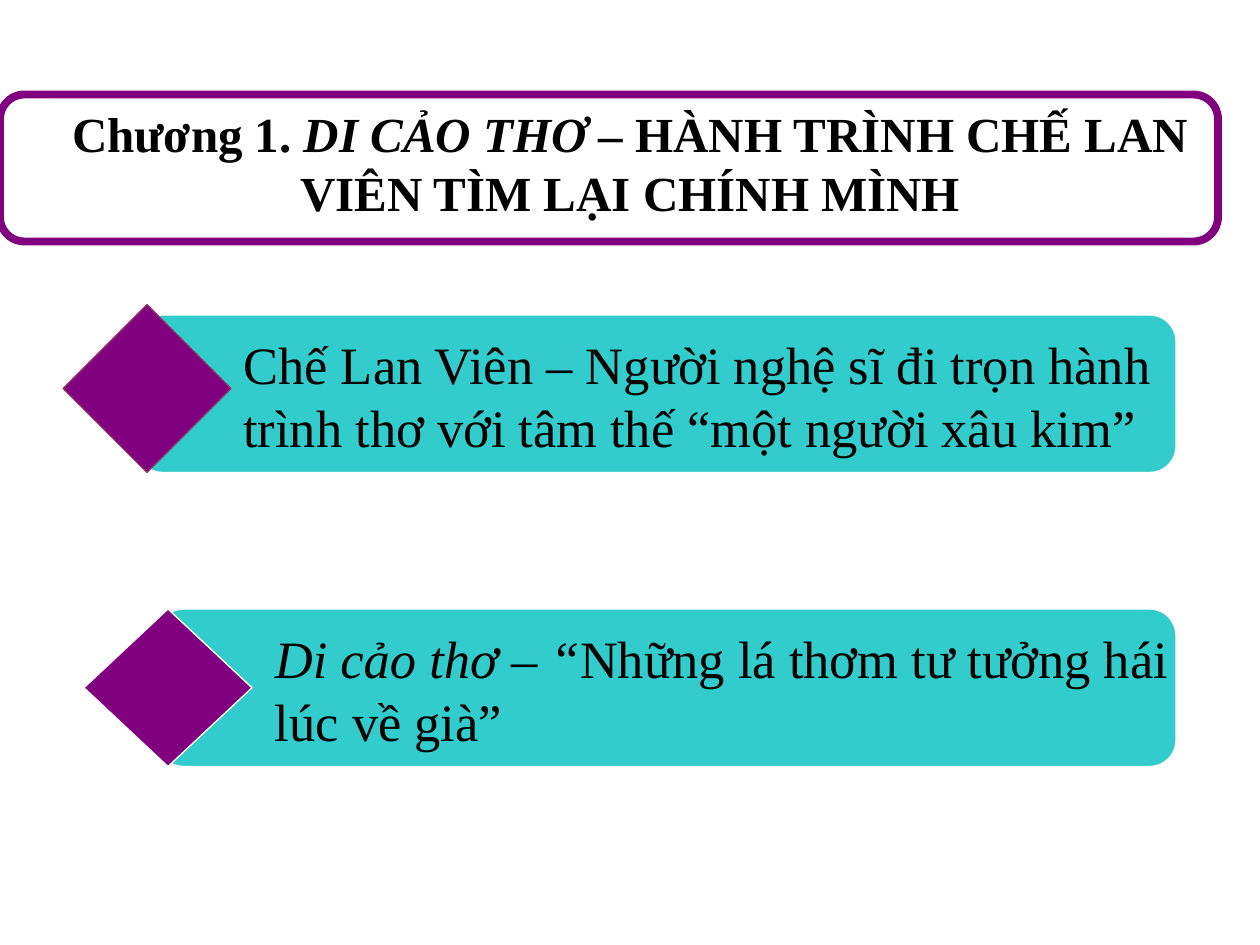
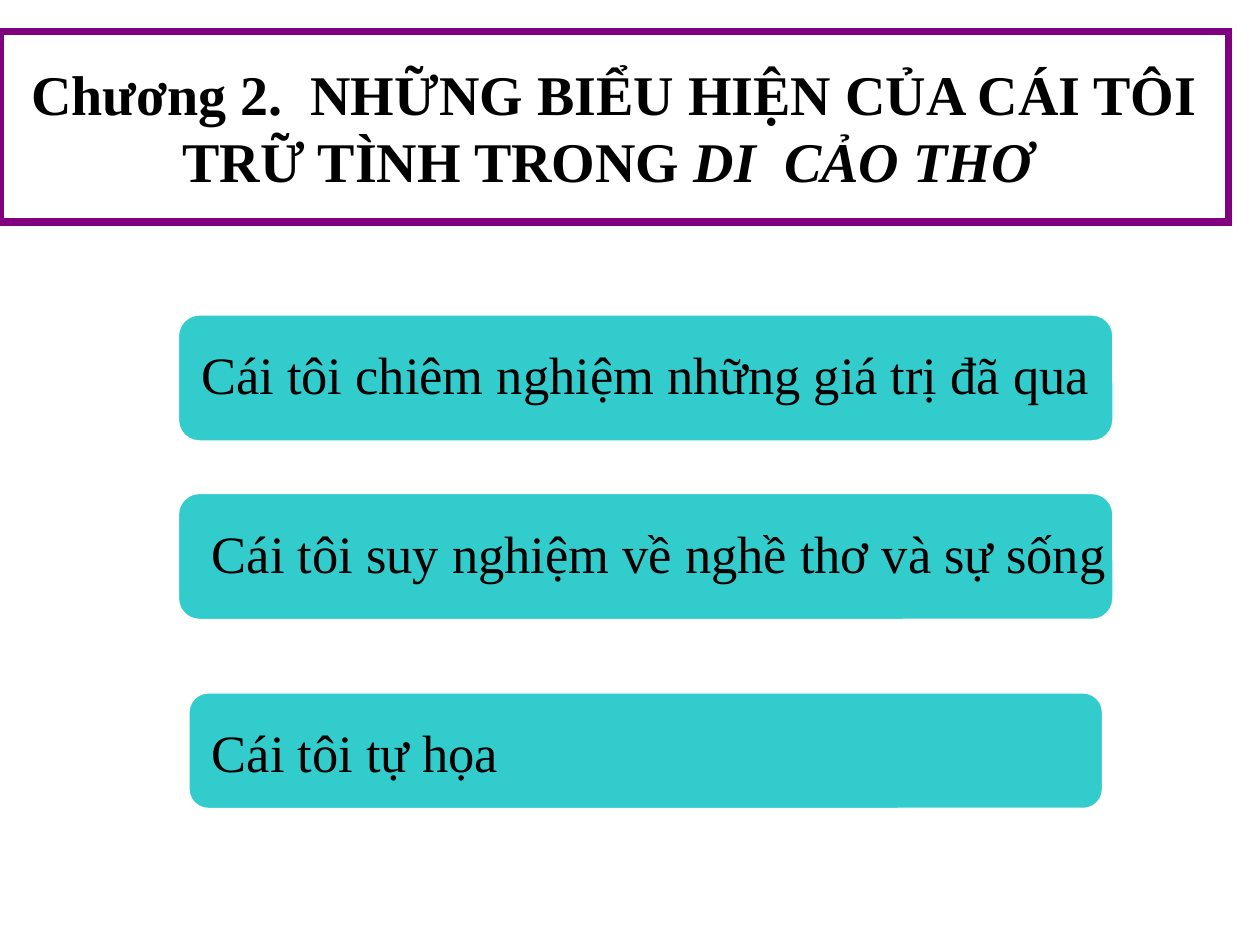
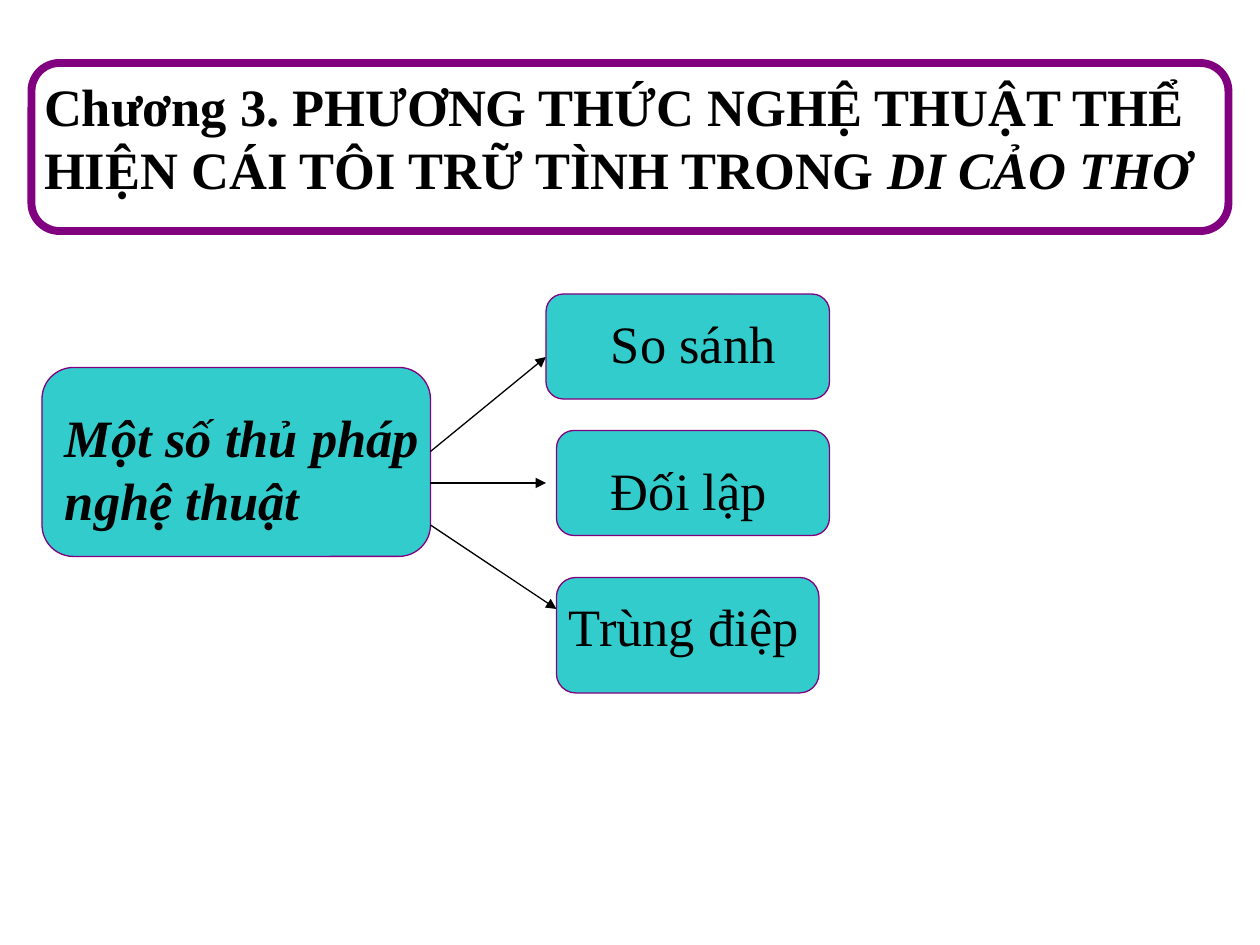
from lxml import etree
from pptx import Presentation
from pptx.dml.color import RGBColor
from pptx.enum.shapes import MSO_CONNECTOR, MSO_SHAPE
from pptx.enum.text import MSO_ANCHOR, MSO_AUTO_SIZE, PP_ALIGN
from pptx.oxml.ns import qn
from pptx.util import Pt

ROUNDED = MSO_SHAPE.ROUNDED_RECTANGLE
DIAMOND = MSO_SHAPE.DIAMOND
STRAIGHT = MSO_CONNECTOR.STRAIGHT
MIDDLE = MSO_ANCHOR.MIDDLE
TOP = MSO_ANCHOR.TOP
NO_FIT = MSO_AUTO_SIZE.NONE
GROW = MSO_AUTO_SIZE.SHAPE_TO_FIT_TEXT
LEFT = PP_ALIGN.LEFT
CENTER = PP_ALIGN.CENTER

FONT = "Times New Roman"
BLACK, WHITE = "000000", "FFFFFF"
PURPLE, PLUM, TEAL = "800080", "993366", "33CCCC"
THIN, THICK = 0.75, 4.5
BODY_SIZE = 30
ONE_LINE, TWO_LINES = 43, 79
TITLE_ONLY = 5

TONES = (
    (0x300, "ÀÌàìềờ", "AIaiêơ"),
    (0x301, "ÁÍẾáúếốớ", "AIÊauêôơ"),
    (0x303, "Ữữĩã", "Ưưia"),
    (0x309, "ẢỂỦảở", "AÊUaơ"),
    (0x323, "ẠỆệọộịự", "AÊêoôiư"),
)
TONE_TABLE = {ord(letter): base + chr(mark)
              for mark, letters, bases in TONES
              for letter, base in zip(letters, bases)}


def split_tones(runs):
    """Store each tone mark as a combining character after its vowel."""
    return [(text.translate(TONE_TABLE), italic) for text, italic in runs]


def color(value):
    """Turn a hex string into a colour."""
    return RGBColor.from_string(value)


def points(values):
    """Turn numbers into lengths in points."""
    return [Pt(value) for value in values]


def set_values(target, values):
    """Set attributes of an object from a dict."""
    for name, value in values.items():
        setattr(target, name, value)


def outline(shape, line_color, width):
    """Give a shape or connector a solid line."""
    shape.line.color.rgb = color(line_color)
    shape.line.width = Pt(width)


def write(frame, runs, size, align=LEFT, bold=False):
    """Write (text, italic) runs as the one paragraph of a frame."""
    paragraph = frame.paragraphs[0]
    set_values(paragraph, {"alignment": align, "space_before": Pt(0)})
    for text, italic in runs:
        run = paragraph.add_run()
        run.text = text
        set_values(run.font, {"name": FONT, "size": Pt(size),
                              "bold": bold, "italic": italic})
        run.font.color.rgb = color(BLACK)


def add_title(presentation, box, runs, size, align=CENTER):
    """Add a slide and fill its title placeholder."""
    slide = presentation.slides.add_slide(presentation.slide_layouts[TITLE_ONLY])
    title = slide.shapes.title
    set_values(title, dict(zip(("left", "top", "width", "height"), points(box))))
    set_values(title.text_frame, {"word_wrap": True, "auto_size": NO_FIT,
                                  "vertical_anchor": MIDDLE})
    write(title.text_frame, runs, size, align, bold=True)
    return slide


def add_block(slide, kind, box, fill, line_color, width=THIN):
    """Add a preset shape, hollow when fill is None."""
    shape = slide.shapes.add_shape(kind, *points(box))
    shape.shadow.inherit = False
    if fill:
        shape.fill.solid()
        shape.fill.fore_color.rgb = color(fill)
    else:
        shape.fill.background()
    outline(shape, line_color, width)


def add_frame(slide, box):
    """Draw the thick rounded frame around a title."""
    add_block(slide, ROUNDED, box, None, PURPLE, THICK)


def add_bar(slide, box, label, runs, line_color=WHITE, bold=False):
    """Add a teal bar with a label box placed relative to it."""
    add_block(slide, ROUNDED, box, TEAL, line_color)
    left, top, width, height = label
    label_box = (box[0] + left, box[1] + top, width, height)
    frame = slide.shapes.add_textbox(*points(label_box)).text_frame
    set_values(frame, {"word_wrap": True, "auto_size": GROW, "vertical_anchor": TOP})
    write(frame, runs, BODY_SIZE, bold=bold)


def add_arrow(slide, start, end):
    """Draw a thin black arrow."""
    connector = slide.shapes.add_connector(STRAIGHT, *points(start + end))
    outline(connector, BLACK, THIN)
    properties = connector.line._get_or_add_ln()
    etree.SubElement(properties, qn("a:tailEnd"), type="triangle")
    etree.SubElement(connector._element.spPr, qn("a:effectLst"))


def add_methods(slide, left, top):
    """Draw the method box with arrows to its three branches."""
    add_bar(slide, (left, top + 42, 222, 108), (6, 18, 222, TWO_LINES),
            [("Một số thủ pháp nghệ thuật", True)], PURPLE, bold=True)
    for start_y, end_x, end_y in ((90, 288, 36), (108, 288, 108), (132, 294, 180)):
        add_arrow(slide, (left + 222, top + start_y), (left + end_x, top + end_y))
    branches = (
        ("So sánh", (288, 0, 162, 60), (30, 6, 120)),
        ("Đối lập", (294, 78, 156, 60), (24, 12, 120)),
        ("Trùng điệp", (294, 162, 150, 66), (0, 6, 174)),
    )
    for text, (x, y, width, height), label in branches:
        add_bar(slide, (left + x, top + y, width, height), label + (ONE_LINE,),
                [(text, False)], PURPLE)


def chapter_one(presentation):
    """Build the slide with two diamond-marked bars."""
    slide = add_title(presentation, (0, 54, 720, 78), split_tones([
        ("Chương 1. ", False), ("DI CẢO THƠ", True),
        (" – HÀNH TRÌNH CHẾ LAN VIÊN TÌM LẠI CHÍNH MÌNH", False)]), 28)
    items = (
        ((78, 180, 594, 90), (54, 6, 558, TWO_LINES), (36, 174, 96, 96), PLUM,
         [("Chế Lan Viên – Người nghệ sĩ đi trọn hành trình thơ "
           "với tâm thế “một người xâu kim”", False)]),
        ((90, 348, 582, 90), (60, 6, 552, TWO_LINES), (48, 348, 96, 90), WHITE,
         [("Di cảo thơ – “", True),
          ("Những lá thơm tư tưởng hái lúc về già”", False)]),
    )
    for bar, label, diamond, diamond_line, runs in items:
        add_bar(slide, bar, label, split_tones(runs))
        add_block(slide, DIAMOND, diamond, PURPLE, diamond_line)
    add_frame(slide, (0, 54, 696, 84))


def chapter_two(presentation):
    """Build the slide with three bars."""
    slide = add_title(presentation, (0, 18, 702, 109), split_tones([
        ("Chương 2.  NHỮNG BIỂU HIỆN CỦA CÁI TÔI TRỮ TÌNH TRONG ", False),
        ("DI  CẢO THƠ ", True)]), 32)
    title = slide.shapes.title
    outline(title, PURPLE, THICK)
    etree.SubElement(title.line._get_or_add_ln(), qn("a:miter"), lim="800000")
    items = (
        ("Cái tôi chiêm nghiệm những giá trị đã qua", (102, 180, 534, 72), 6, 534),
        ("Cái tôi suy nghiệm về nghề thơ và sự sống", (102, 282, 534, 72), 12, 528),
        ("Cái tôi tự họa", (108, 396, 522, 66), 6, 432),
    )
    for text, bar, indent, width in items:
        add_bar(slide, bar, (indent, 12, width, ONE_LINE),
                split_tones([(text, False)]))


def chapter_three(presentation):
    """Build the slide with the branching diagram."""
    slide = add_title(presentation, (18, 24, 684, 109), [
        ("Chương 3. PHƯƠNG THỨC NGHỆ THUẬT THỂ HIỆN CÁI TÔI TRỮ TÌNH TRONG ", False),
        ("DI CẢO THƠ", True)], 30, LEFT)
    add_methods(slide, 24, 168)
    add_frame(slide, (18, 36, 684, 96))


def main():
    """Build and save the presentation."""
    presentation = Presentation()
    set_values(presentation, {"slide_width": Pt(720), "slide_height": Pt(540)})
    for build in (chapter_one, chapter_two, chapter_three):
        build(presentation)
    presentation.save("out.pptx")


if __name__ == "__main__":
    main()
